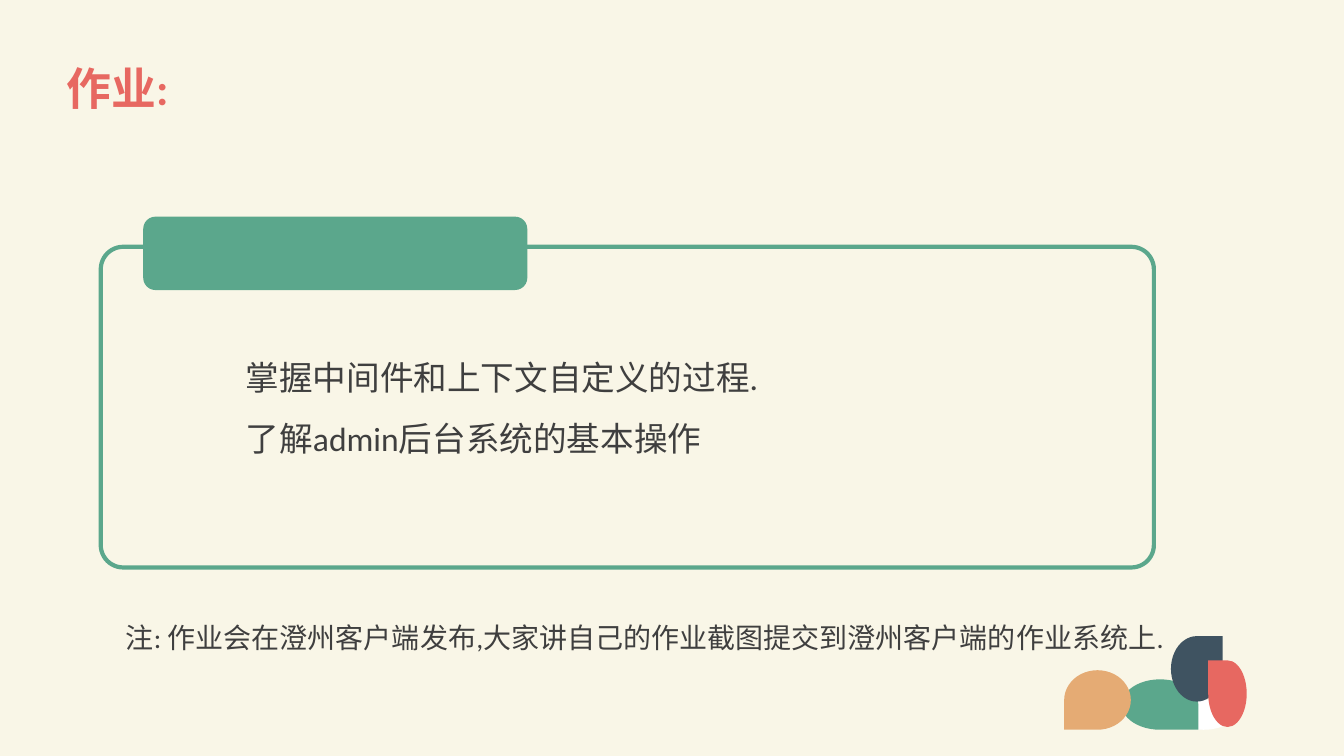
from dataclasses import dataclass

import pptx
import pptx.dml.color
import pptx.enum.shapes
import pptx.enum.text
import pptx.oxml.ns
import pptx.util
from lxml import etree

Cm, Pt = pptx.util.Cm, pptx.util.Pt
RGB = pptx.dml.color.RGBColor.from_string
Shape = pptx.enum.shapes.MSO_SHAPE


@dataclass(frozen=True)
class Theme:
    font: str = "Calibri"
    paper: str = "F9F6E7"
    ink: str = "3F3F3F"
    coral: str = "E76861"
    green: str = "5BA78C"
    navy: str = "3F5361"
    sand: str = "E5AB74"
    white: str = "FFFFFF"
    title_size: int = 32
    body_size: int = 24
    note_size: int = 20


@dataclass(frozen=True)
class Box:
    """Position and size in centimetres."""
    left: float
    top: float
    width: float
    height: float

    def emu(self) -> tuple:
        return Cm(self.left), Cm(self.top), Cm(self.width), Cm(self.height)


@dataclass(frozen=True)
class Petal:
    """Ellipse with one square corner, top right unless flipped."""
    box: Box
    color: str
    flips: tuple = ()


THEME = Theme()
PETALS = [
    Petal(Box(28.27, 17.12, 1.93, 1.27), THEME.green, ("flipV",)),
    Petal(Box(29.51, 16.03, 1.3, 1.65), THEME.navy),
    Petal(Box(30.45, 16.64, 0.97, 1.68), THEME.coral, ("flipH",)),
    Petal(Box(26.82, 16.89, 1.68, 1.5), THEME.sand, ("flipH", "flipV")),
]


def add_solid(slide, kind, box: Box, color: str):
    s = slide.shapes.add_shape(kind, *box.emu())
    s.shadow.inherit = False
    s.fill.solid()
    s.fill.fore_color.rgb = RGB(color)
    s.line.fill.background()
    return s


def add_petal(slide, petal: Petal) -> None:
    s = add_solid(slide, Shape.TEAR, petal.box, petal.color)
    xfrm = s._element.spPr.find(pptx.oxml.ns.qn("a:xfrm"))
    for flip in petal.flips:
        xfrm.set(flip, "1")


def write(s, box: Box, lines: list, size: int, color: str, spacing: float = 1,
          bold: bool = False, anchor=pptx.enum.text.MSO_ANCHOR.TOP) -> None:
    s.left, s.top, s.width, s.height = box.emu()
    tf = s.text_frame
    tf.text = "\n".join(lines)
    tf.word_wrap = True
    tf.auto_size = pptx.enum.text.MSO_AUTO_SIZE.NONE
    tf.vertical_anchor = anchor
    for p in tf.paragraphs:
        p.alignment = pptx.enum.text.PP_ALIGN.LEFT
        p.line_spacing = spacing
        p.space_before = Pt(0)
        p.font.name, p.font.size, p.font.bold = THEME.font, Pt(size), bold
        p.font.color.rgb = RGB(color)


def remove_bullets(s) -> None:
    for p in s.text_frame.paragraphs:
        p_pr = p._p.get_or_add_pPr()
        p_pr.set("marL", "0")
        p_pr.set("indent", "0")
        bullet = etree.Element(pptx.oxml.ns.qn("a:buNone"))
        p_pr.find(pptx.oxml.ns.qn("a:defRPr")).addprevious(bullet)


def main() -> None:
    prs = pptx.Presentation()
    prs.slide_width, prs.slide_height = Cm(33.87), Cm(19.05)
    slide = prs.slides.add_slide(prs.slide_layouts[1])
    slide.background.fill.solid()
    slide.background.fill.fore_color.rgb = RGB(THEME.paper)

    # Title and tasks
    write(slide.shapes.title, Box(1.42, 0.94, 31.22, 2.69), ["作业:"],
          THEME.title_size, THEME.coral, spacing=0.9, bold=True,
          anchor=pptx.enum.text.MSO_ANCHOR.MIDDLE)
    tasks = slide.placeholders[1]
    write(tasks, Box(5.94, 8.36, 15, 3.33),
          ["掌握中间件和上下文自定义的过程.", "了解admin后台系统的基本操作"],
          THEME.body_size, THEME.ink, spacing=1.5)
    remove_bullets(tasks)

    # Corner ornament
    add_solid(slide, Shape.OVAL, Box(29.57, 17.63, 1.52, 0.76), THEME.white)
    for petal in PETALS:
        add_petal(slide, petal)

    # Frame with its tab
    frame = slide.shapes.add_shape(Shape.ROUNDED_RECTANGLE,
                                   *Box(2.54, 6.22, 26.54, 8.08).emu())
    frame.shadow.inherit = False
    frame.adjustments[0] = 0.07
    frame.fill.background()
    frame.line.color.rgb = RGB(THEME.green)
    frame.line.width = Pt(3)
    add_solid(slide, Shape.ROUNDED_RECTANGLE, Box(3.61, 5.46, 9.68, 1.85),
              THEME.green)

    # Note
    note_box = Box(2.92, 15.52, 26.59, 2)
    note = slide.shapes.add_textbox(*note_box.emu())
    write(note, note_box,
          ["注: 作业会在澄州客户端发布,大家讲自己的作业截图提交到澄州客户端的作业系统上."],
          THEME.note_size, THEME.ink)

    prs.save("out.pptx")


if __name__ == "__main__":
    main()
